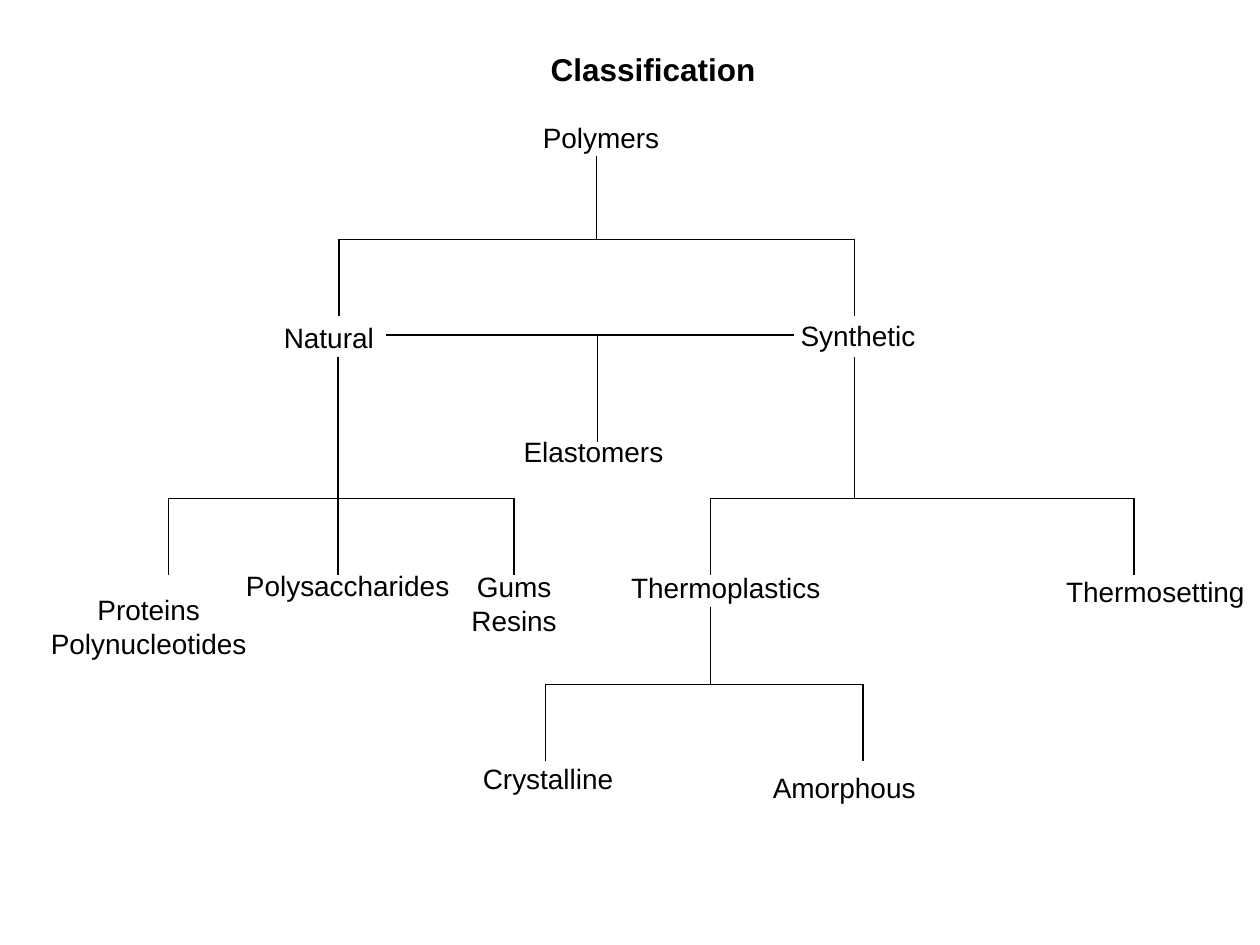
from itertools import pairwise

from lxml.etree import SubElement
from pptx import Presentation
from pptx.dml.color import RGBColor
from pptx.enum.shapes import MSO_CONNECTOR as Connector
from pptx.enum.text import MSO_ANCHOR as Anchor, PP_ALIGN as Align
from pptx.oxml.ns import qn
from pptx.util import Inches, Pt

COLORS = {"ink": "000000", "paper": "FFFFFF"}
FONT = "Arial"
WIDTH, HEIGHT = Inches(10), Inches(7.5)
COLUMNS, ROWS = 100, 75

LABELS = [
    ((83.4, 45, 16.6, 3.9), ["Thermosetting"]),
    ((39, 9.2, 17.4, 3.4), ["Polymers"]),
    ((17.4, 25.1, 17.4, 3.4), ["Natural"]),
    ((59.4, 24.9, 17.4, 3.4), ["Synthetic"]),
    ((40, 33.6, 14.2, 4.5), ["Elastomers"]),
    ((3.3, 45, 17, 9.4), ["Proteins", "Polynucleotides"]),
    ((19.1, 43.8, 17, 5.3), ["Polysaccharides"]),
    ((34.9, 44, 11.8, 7.8), ["Gums", "Resins"]),
    ((48.9, 44.9, 17.4, 3.4), ["Thermoplastics"]),
    ((34.8, 60.1, 17.4, 3.4), ["Crystalline"]),
    ((58.3, 60.8, 17.4, 3.4), ["Amorphous"]),
]

FORKS = [
    {"box": (26.9, 12.4, 40.9, 12.7), "stem": 0.5, "bar": 0.52,
     "branches": (0, 1), "stops": (0, 0.5, 1)},
    {"box": (13.4, 28.3, 27.4, 17.3), "stem": 0.49, "bar": 0.65,
     "branches": (0, 0.49, 1)},
    {"box": (56.4, 28.3, 33.6, 17.3), "stem": 0.34, "bar": 0.65,
     "branches": (0, 1)},
    {"box": (43.3, 48.2, 25.2, 12.2), "stem": 0.52, "bar": 0.5,
     "branches": (0, 1)},
    {"box": (30.6, 26.6, 32.4, 8.5), "stem": None, "bar": 0,
     "branches": (0.52,)},
]


def across(columns):
    """Turn grid columns into a length."""
    return round(WIDTH * columns / COLUMNS)


def down(rows):
    """Turn grid rows into a length."""
    return round(HEIGHT * rows / ROWS)


def add_text(slide, box, lines, size, align=Align.CENTER, bold=False):
    """Place lines of text, without insets, in a grid box."""
    left, top, width, height = box
    shape = slide.shapes.add_textbox(
        across(left), down(top), across(width), down(height))
    frame = shape.text_frame
    frame.word_wrap = True
    frame.vertical_anchor = Anchor.MIDDLE
    frame.margin_left = frame.margin_right = 0
    frame.margin_top = frame.margin_bottom = 0
    frame.text = "\n".join(lines)
    for paragraph in frame.paragraphs:
        paragraph.alignment = align
        paragraph.font.name = FONT
        paragraph.font.size = Pt(size)
        paragraph.font.bold = bold
        paragraph.font.color.rgb = RGBColor.from_string(COLORS["ink"])
    return frame


def add_title(slide, box):
    """Place the heading, indented inside its box."""
    frame = add_text(slide, box, ["Classification"], 18, Align.LEFT, True)
    frame.vertical_anchor = Anchor.TOP
    frame.margin_left = across(7.9)
    frame.margin_top = down(0.7)


def add_line(slide, start, end):
    """Draw a thin line between two grid points."""
    line = slide.shapes.add_connector(
        Connector.STRAIGHT, across(start[0]), down(start[1]),
        across(end[0]), down(end[1]))
    line.line.color.rgb = RGBColor.from_string(COLORS["ink"])
    line.line.width = Pt(0.75)
    SubElement(line._element.spPr, qn("a:effectLst"))


def add_fork(slide, box, stem, bar, branches, stops=(0, 1)):
    """Draw a stem, a crossbar and its branches as shares of a box."""
    left, top, width, height = box

    def point(share_x, share_y):
        """Find the grid point at the given shares of the box."""
        return left + width * share_x, top + height * share_y

    if stem is not None:
        add_line(slide, point(stem, 0), point(stem, bar))
    for start, end in pairwise(stops):
        add_line(slide, point(start, bar), point(end, bar))
    for branch in branches:
        add_line(slide, point(branch, bar), point(branch, 1))


def main():
    """Build and save the classification slide."""
    presentation = Presentation()
    presentation.slide_width, presentation.slide_height = WIDTH, HEIGHT
    slide = presentation.slides.add_slide(presentation.slide_layouts[6])
    slide.background.fill.solid()
    slide.background.fill.fore_color.rgb = RGBColor.from_string(COLORS["paper"])
    for fork in FORKS:
        add_fork(slide, **fork)
    for box, lines in LABELS:
        add_text(slide, box, lines, 16)
    add_title(slide, (35.8, 3.3, 25.9, 7.1))
    presentation.save("out.pptx")


if __name__ == "__main__":
    main()
